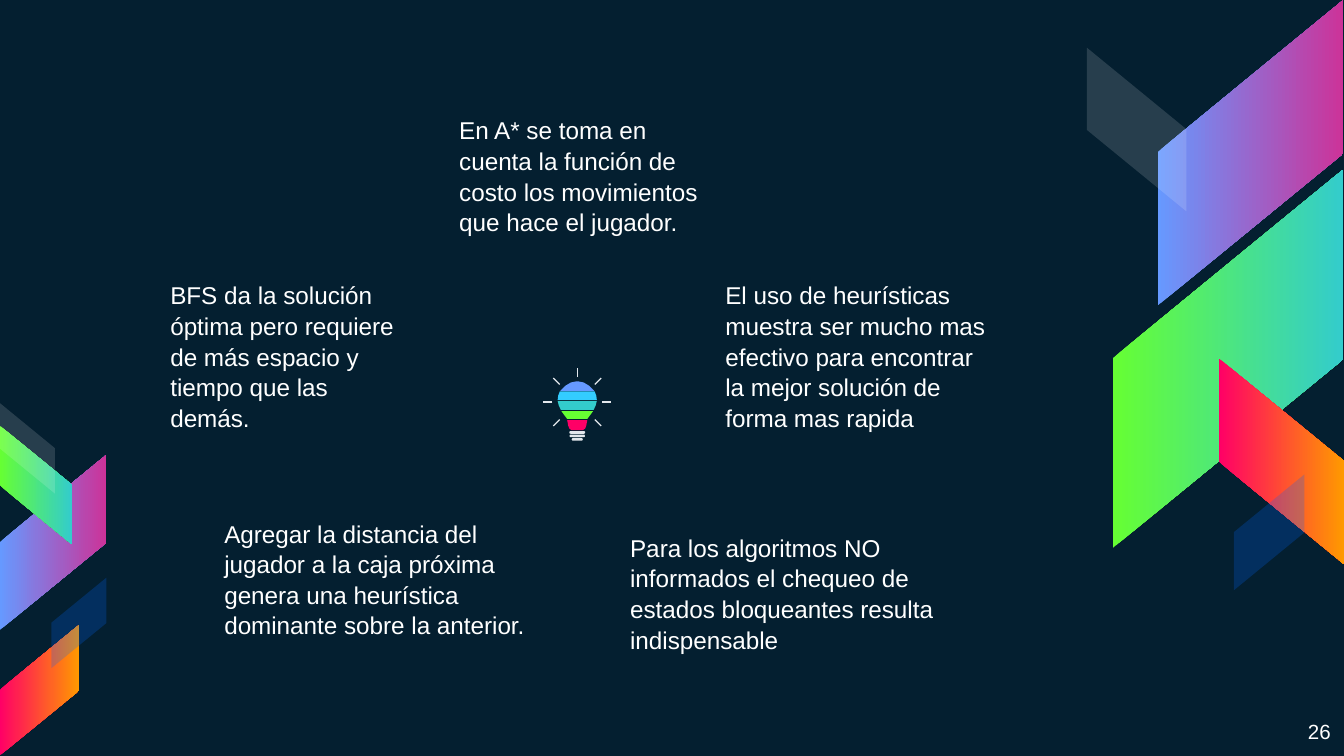
import math

import pptx
import pptx.dml.color
import pptx.enum.shapes
import pptx.enum.text
import pptx.oxml
import pptx.oxml.ns
import pptx.util

Cm = pptx.util.Cm
Pt = pptx.util.Pt
RGBColor = pptx.dml.color.RGBColor
Shape = pptx.enum.shapes.MSO_SHAPE
Align = pptx.enum.text.PP_ALIGN

NIGHT = RGBColor(0x04, 0x1F, 0x30)
WHITE = RGBColor(0xFF, 0xFF, 0xFF)
PALE = RGBColor(0xE3, 0xE7, 0xEC)
BLUE = RGBColor(0x00, 0x66, 0xFF)
PERIWINKLE = RGBColor(0x66, 0x99, 0xFF)
MAGENTA = RGBColor(0xCC, 0x33, 0x99)
LIME = RGBColor(0x66, 0xFF, 0x33)
TEAL = RGBColor(0x33, 0xCC, 0xCC)
SKY = RGBColor(0x33, 0xCC, 0xFF)
PINK = RGBColor(0xFF, 0x00, 0x66)
ORANGE = RGBColor(0xFF, 0x99, 0x00)

# Content: text, left, top, width, height, top inset (cm)
INSET = 0.25
NOTES = [
    ("En A* se toma en cuenta la función de costo los movimientos que hace "
     "el jugador.", 8.43, 1.19, 5.44, 3.63, 0.97),
    ("El uso de heurísticas muestra ser mucho mas efectivo para encontrar "
     "la mejor solución de forma mas rapida", 13.46, 5.03, 5.44, 3.63, INSET),
    ("BFS da la solución óptima pero requiere de más espacio y tiempo que "
     "las demás.", 2.97, 5.03, 4.93, 2.67, INSET),
    ("Para los algoritmos NO informados el chequeo de estados bloqueantes "
     "resulta indispensable", 11.66, 9.8, 6.3, 3.12, INSET),
    ("Agregar la distancia del jugador a la caja próxima genera una "
     "heurística dominante sobre la anterior.", 3.99, 9.53, 6.3, 3.12, INSET),
]
PAGE_NUMBER = ("26", 23.77, 13.36, 1.63, 0.91, INSET)

# Ribbons: left, top, width (cm), rises to the right, colours left to right
RIBBONS = [
    (21.88, 0, 3.51, True, (PERIWINKLE, MAGENTA)),
    (21.04, 3.21, 4.34, True, (LIME, TEAL)),
    (23.04, 6.78, 2.36, False, (PINK, ORANGE)),
    (20.54, 0.9, 1.88, False, (WHITE, 14)),
    (23.32, 8.97, 1.33, True, (BLUE, 23)),
    (0, 8.6, 2.01, True, (PERIWINKLE, MAGENTA)),
    (0, 8.05, 1.36, False, (LIME, TEAL)),
    (0, 11.81, 1.5, True, (PINK, ORANGE)),
    (0, 7.62, 1.04, False, (WHITE, 14)),
    (0.97, 10.92, 1.04, True, (BLUE, 23)),
]
RIBBON_RATIO = 1.645

# Light bulb: each band is a colour and its (height, half width) outline
BULB_X, BULB_Y = 10.91, 7.6
BANDS = [
    (PERIWINKLE, [(7.21, 0.02), (7.23, 0.12), (7.29, 0.22), (7.39, 0.32)]),
    (SKY, [(7.4, 0.33), (7.48, 0.36), (7.56, 0.37)]),
    (TEAL, [(7.58, 0.37), (7.66, 0.35), (7.75, 0.31)]),
    (LIME, [(7.77, 0.3), (7.84, 0.25), (7.92, 0.19)]),
    (PINK, [(7.94, 0.19), (8.05, 0.17), (8.1, 0.15), (8.13, 0.11)]),
]
RAY_ANGLES = range(-45, 226, 45)
RAY_START, RAY_END = 0.47, 0.64
SOCKET_WIDTHS = [0.3, 0.29, 0.21]
SOCKET_TOP, SOCKET_STEP, SOCKET_HEIGHT = 8.15, 0.065, 0.05


def paint(shape, color):
    shape.shadow.inherit = False
    shape.line.fill.background()
    shape.fill.solid()
    shape.fill.fore_color.rgb = color


def add_ribbon(page, left, top, width, rises, colors):
    # The parallelogram lies on its side, so its length becomes its height
    length = width * RIBBON_RATIO
    shift = (length - width) / 2
    ribbon = page.shapes.add_shape(Shape.PARALLELOGRAM, Cm(left - shift),
                                   Cm(top + shift), Cm(length), Cm(width))
    ribbon.adjustments[0] = 0.819
    ribbon.rotation = 270
    if rises:
        ribbon._element.spPr.xfrm.set("flipH", "1")
    first, second = colors
    paint(ribbon, first)
    if isinstance(second, RGBColor):
        ribbon.fill.gradient()
        ribbon.fill.gradient_angle = 270
        for stop, color in zip(ribbon.fill.gradient_stops, colors):
            stop.color.rgb = color
    else:
        color = ribbon._element.spPr.find(".//" + pptx.oxml.ns.qn("a:srgbClr"))
        alpha = pptx.oxml.parse_xml(
            f'<a:alpha {pptx.oxml.ns.nsdecls("a")} val="{second * 1000}"/>')
        color.append(alpha)


def add_text(page, text, left, top, width, height, inset, size=13,
             spacing=1.05, align=Align.LEFT):
    box = page.shapes.add_textbox(Cm(left), Cm(top), Cm(width), Cm(height))
    frame = box.text_frame
    frame.word_wrap = True
    frame.margin_left = frame.margin_right = frame.margin_bottom = Cm(INSET)
    frame.margin_top = Cm(inset)
    para = frame.paragraphs[0]
    para.alignment = align
    para.line_spacing = spacing
    span = para.add_run()
    span.text = text
    span.font.name = "Arial"
    span.font.size = Pt(size)
    span.font.color.rgb = WHITE


def add_bulb(page):
    bulb = page.shapes.add_group_shape().shapes
    for color, outline in BANDS:
        right = [(Cm(BULB_X + half), Cm(y)) for y, half in outline]
        left = [(Cm(BULB_X - half), Cm(y)) for y, half in reversed(outline)]
        builder = bulb.build_freeform(*right[0])
        builder.add_line_segments(right[1:] + left, close=True)
        paint(builder.convert_to_shape(), color)
    for angle in RAY_ANGLES:
        across = math.cos(math.radians(angle))
        down = -math.sin(math.radians(angle))
        ends = [Cm(center + radius * part)
                for radius in (RAY_START, RAY_END)
                for center, part in ((BULB_X, across), (BULB_Y, down))]
        ray = bulb.add_connector(pptx.enum.shapes.MSO_CONNECTOR.STRAIGHT, *ends)
        ray.line.color.rgb = PALE
        ray.line.width = Pt(0.7)
        ray._element.spPr.append(pptx.oxml.parse_xml(
            f'<a:effectLst {pptx.oxml.ns.nsdecls("a")}/>'))
    for row, width in enumerate(SOCKET_WIDTHS):
        socket = bulb.add_shape(
            Shape.ROUNDED_RECTANGLE, Cm(BULB_X - width / 2),
            Cm(SOCKET_TOP + row * SOCKET_STEP), Cm(width), Cm(SOCKET_HEIGHT))
        socket.adjustments[0] = 0.5
        paint(socket, PALE)


def main():
    deck = pptx.Presentation()
    deck.slide_width, deck.slide_height = Cm(25.4), Cm(14.29)
    page = deck.slides.add_slide(deck.slide_layouts[6])
    page.background.fill.solid()
    page.background.fill.fore_color.rgb = NIGHT
    for ribbon in RIBBONS:
        add_ribbon(page, *ribbon)
    for note in NOTES:
        add_text(page, *note)
    add_text(page, *PAGE_NUMBER, size=11, spacing=1.0, align=Align.RIGHT)
    add_bulb(page)
    deck.save("out.pptx")


if __name__ == "__main__":
    main()
